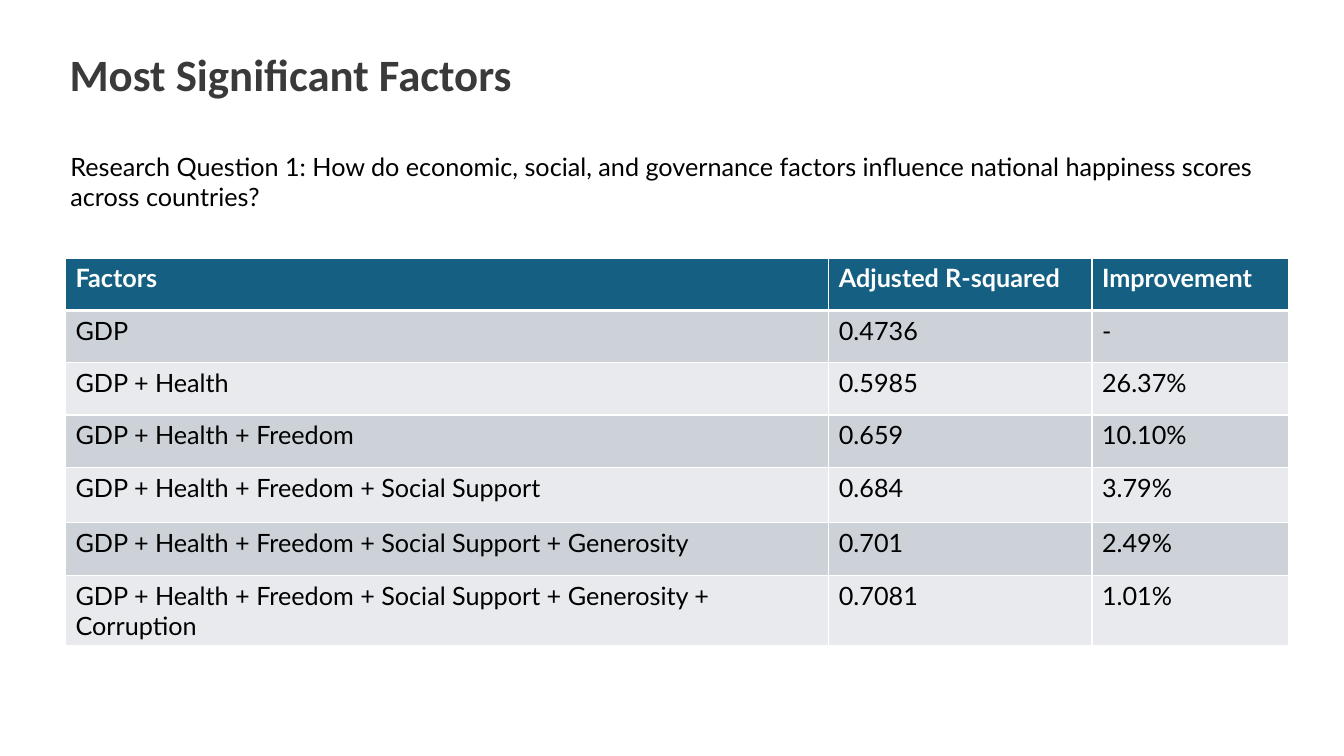
from dataclasses import dataclass
from typing import NamedTuple

from lxml.etree import SubElement
from pptx import Presentation
from pptx.dml.color import RGBColor
from pptx.enum.text import MSO_ANCHOR, MSO_AUTO_SIZE, PP_ALIGN
from pptx.oxml.ns import qn
from pptx.slide import Slide
from pptx.table import _Cell
from pptx.text.text import TextFrame
from pptx.util import Pt


@dataclass(frozen=True)
class Theme:
    head_font: str = "Calibri"
    body_font: str = "Lato"
    head_size: int = 32
    body_size: int = 18
    title: str = "3A3A3A"
    ink: str = "000000"
    white: str = "FFFFFF"
    header: str = "156082"
    bands: tuple[str, str] = ("CCD2D8", "E8EAED")
    thin: int = 1
    thick: int = 3


class Box(NamedTuple):
    left: float
    top: float
    width: float
    height: float


class Result(NamedTuple):
    factors: str
    fit: str
    gain: str


THEME = Theme()
TITLE_BOX = Box(42.5, 23.8, 809.3, 51.8)
QUESTION_BOX = Box(43.2, 104.4, 881.3, 51.1)
TABLE_BOX = Box(46.8, 184.3, 873.7, 264.2)
WIDTHS = (545.2, 188, 140.5)
HEIGHTS = (37.4, 37.4, 37.4, 37.4, 39.6, 37.4, 37.4)
QUESTION = (
    "Research Question 1: How do economic, social, and governance factors "
    "influence national happiness scores across countries?"
)
RESULTS = (
    Result("Factors", "Adjusted R-squared", "Improvement"),
    Result("GDP", "0.4736", "-"),
    Result("GDP + Health", "0.5985", "26.37%"),
    Result("GDP + Health + Freedom", "0.659", "10.10%"),
    Result("GDP + Health + Freedom + Social Support", "0.684", "3.79%"),
    Result("GDP + Health + Freedom + Social Support + Generosity", "0.701", "2.49%"),
    Result(
        "GDP + Health + Freedom + Social Support + Generosity + Corruption",
        "0.7081",
        "1.01%",
    ),
)


def write(frame: TextFrame, text: str, font: str, size: int, color: str, bold: bool = False) -> None:
    frame.text = text
    for run in frame.paragraphs[0].runs:
        run.font.name = font
        run.font.size = Pt(size)
        run.font.bold = bold
        run.font.color.rgb = RGBColor.from_string(color)


def add_title(slide: Slide) -> None:
    title = slide.shapes.title
    title.left, title.top, title.width, title.height = map(Pt, TITLE_BOX)
    frame = title.text_frame
    write(frame, "Most Significant Factors", THEME.head_font, THEME.head_size, THEME.title, True)
    frame.auto_size = MSO_AUTO_SIZE.NONE
    frame.vertical_anchor = MSO_ANCHOR.BOTTOM
    frame.paragraphs[0].alignment = PP_ALIGN.LEFT
    frame.paragraphs[0].line_spacing = 0.9


def add_question(slide: Slide) -> None:
    frame = slide.shapes.add_textbox(*map(Pt, QUESTION_BOX)).text_frame
    frame.word_wrap = True
    frame.auto_size = MSO_AUTO_SIZE.SHAPE_TO_FIT_TEXT
    write(frame, QUESTION, THEME.body_font, THEME.body_size, THEME.ink)


def add_borders(cell: _Cell, top: int, bottom: int) -> None:
    props = cell._tc.get_or_add_tcPr()
    sides = {"lnL": THEME.thin, "lnR": THEME.thin, "lnT": top, "lnB": bottom}
    for side, width in sides.items():
        line = SubElement(props, qn(f"a:{side}"), w=str(Pt(width)))
        fill = SubElement(line, qn("a:solidFill"))
        SubElement(fill, qn("a:srgbClr"), val=THEME.white)


def add_results(slide: Slide) -> None:
    frame = slide.shapes.add_table(len(RESULTS), len(WIDTHS), *map(Pt, TABLE_BOX))
    table = frame.table
    for column, width in zip(table.columns, WIDTHS):
        column.width = Pt(width)
    for row, height in zip(table.rows, HEIGHTS):
        row.height = Pt(height)
    for index, result in enumerate(RESULTS):
        header = index == 0
        shade = THEME.header if header else THEME.bands[(index - 1) % 2]
        color = THEME.white if header else THEME.ink
        top = THEME.thick if index == 1 else THEME.thin
        bottom = THEME.thick if header else THEME.thin
        for cell, text in zip(table.rows[index].cells, result):
            add_borders(cell, top, bottom)
            cell.fill.solid()
            cell.fill.fore_color.rgb = RGBColor.from_string(shade)
            write(cell.text_frame, text, THEME.body_font, THEME.body_size, color, header)


def main() -> None:
    deck = Presentation()
    deck.slide_width, deck.slide_height = Pt(960), Pt(540)
    slide = deck.slides.add_slide(deck.slide_layouts[5])
    add_title(slide)
    add_question(slide)
    add_results(slide)
    deck.save("out.pptx")


if __name__ == "__main__":
    main()
